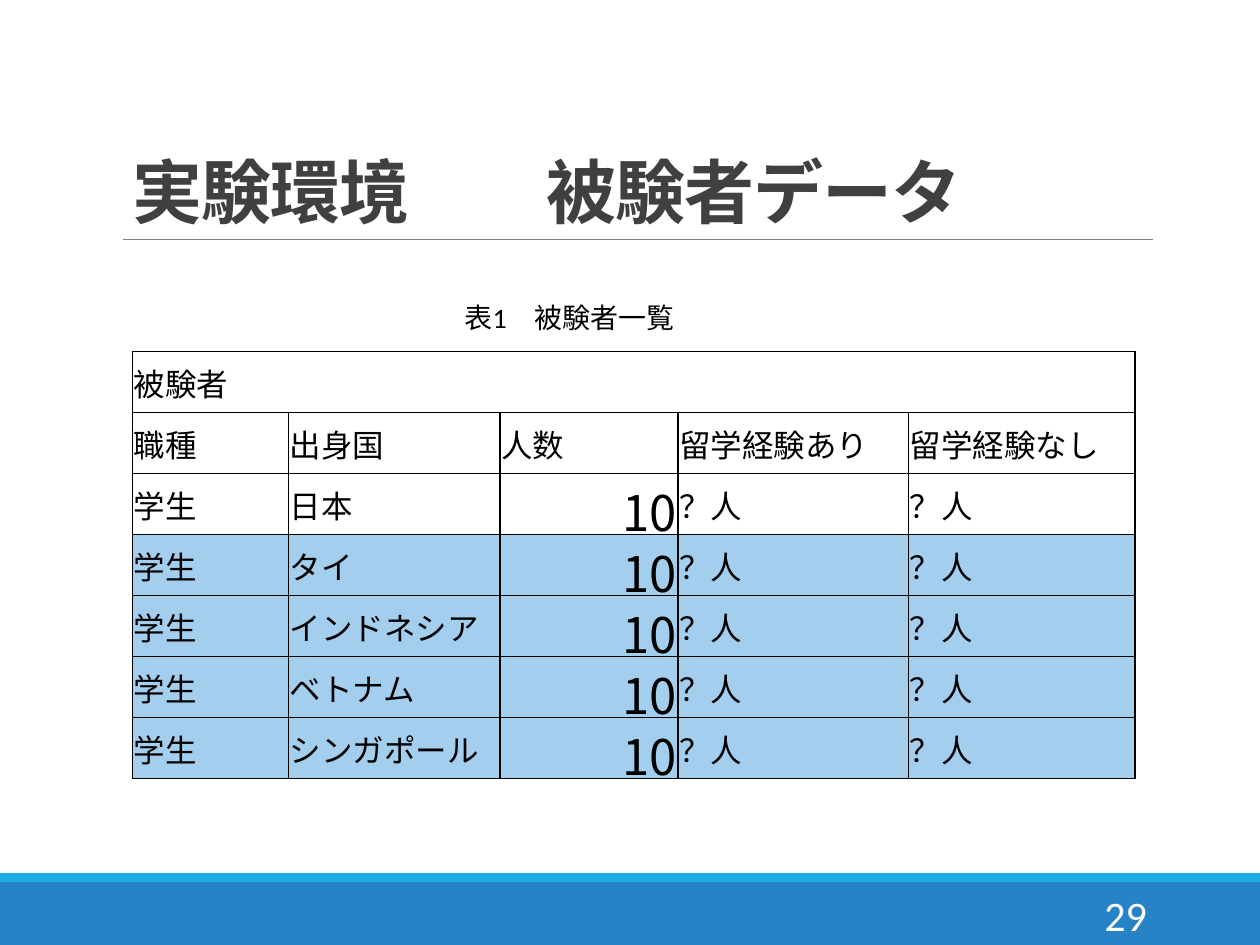
from lxml.etree import SubElement
from pptx import Presentation
from pptx.dml.color import RGBColor
from pptx.enum.shapes import MSO_CONNECTOR, MSO_SHAPE
from pptx.enum.text import MSO_ANCHOR as Anchor, MSO_AUTO_SIZE as AutoSize, PP_ALIGN as Align
from pptx.oxml.ns import qn
from pptx.util import Inches, Pt

JAPANESE_FONT = "Noto Sans CJK JP"


def color(value):
    return RGBColor.from_string(value)


def write(frame, text, size, ink="000000", font="Calibri", align=Align.LEFT):
    """Fill a text frame with one formatted paragraph and return its run."""
    frame.text = text
    para = frame.paragraphs[0]
    para.alignment = align
    span = para.runs[0]
    span.font.size = Pt(size)
    span.font.name = font
    span.font.color.rgb = color(ink)
    SubElement(span.font._element, qn("a:ea"), typeface=JAPANESE_FONT)
    return span


deck = Presentation()
deck.slide_width, deck.slide_height = Inches(10), Inches(7.5)
page = deck.slides.add_slide(deck.slide_layouts[6])

# Footer bands and title rule
for top, height, fill in ((7, 0.5, "2683C6"), (6.93, 0.07, "1CADE4")):
    band = page.shapes.add_shape(
        MSO_SHAPE.RECTANGLE, 0, Inches(top), Inches(10), Inches(height))
    band.shadow.inherit = False
    band.fill.solid()
    band.fill.fore_color.rgb = color(fill)
    band.line.fill.background()

rule = page.shapes.add_connector(
    MSO_CONNECTOR.STRAIGHT, Inches(0.98), Inches(1.9), Inches(9.15), Inches(1.9))
rule.line.color.rgb = color("808080")
rule.line.width = Pt(0.5)
SubElement(rule._element.spPr, qn("a:effectLst"))

# Title, with a tab stop between its two parts
title = page.shapes.add_textbox(Inches(0.95), Inches(0.58), Inches(8.25), Inches(1.32))
title.text_frame.word_wrap = True
title.text_frame.vertical_anchor = Anchor.BOTTOM
title_span = write(title.text_frame, "実験環境\t被験者データ", 40, "404040")
title_span.font.bold = True
title_span.font._element.set("spc", "-50")
title_para = title.text_frame.paragraphs[0]
title_para.line_spacing = 0.85
tab_list = SubElement(title_para._p.get_or_add_pPr(), qn("a:tabLst"))
SubElement(tab_list, qn("a:tab"), pos=str(Inches(3.29)), algn="l")

# Page number and table caption
number = page.shapes.add_textbox(Inches(8.12), Inches(7.06), Inches(1.08), Inches(0.4))
number.text_frame.word_wrap = True
number.text_frame.vertical_anchor = Anchor.MIDDLE
write(number.text_frame, "29", 24, "FFFFFF", align=Align.RIGHT)

caption = page.shapes.add_textbox(Inches(3.2), Inches(2.34), Inches(2.64), Inches(0.37))
caption.text_frame.word_wrap = True
caption.text_frame.auto_size = AutoSize.SHAPE_TO_FIT_TEXT
write(caption.text_frame, "表1　被験者一覧", 16, align=Align.CENTER)

# Participant table
countries = ["日本", "タイ", "インドネシア", "ベトナム", "シンガポール"]
rows = [
    ["被験者", "", "", "", ""],
    ["職種", "出身国", "人数", "留学経験あり", "留学経験なし"],
]
rows += [["学生", country, "10", "？人", "？人"] for country in countries]
column_widths = [1.24, 1.68, 1.41, 1.83, 1.8]
first_shaded_row = 3

table = page.shapes.add_table(
    len(rows), len(column_widths),
    Inches(1.05), Inches(2.79), Inches(7.94), Inches(3.39)).table
table.first_row = table.horz_banding = False
for column, width in zip(table.columns, column_widths):
    column.width = Inches(width)

for row_index, values in enumerate(rows):
    table.rows[row_index].height = Inches(3.39 / len(rows))
    for column_index, value in enumerate(values):
        cell = table.cell(row_index, column_index)
        cell.vertical_anchor = Anchor.MIDDLE
        cell.margin_left = cell.margin_right = cell.margin_top = Inches(0.01)
        cell.margin_bottom = 0
        if value:
            is_count = value.isdigit()
            write(cell.text_frame, value, 28 if is_count else 18, font=JAPANESE_FONT,
                  align=Align.RIGHT if is_count else Align.LEFT)
        properties = cell._tc.get_or_add_tcPr()
        for side in ("lnL", "lnR", "lnT", "lnB"):
            border = SubElement(properties, qn(f"a:{side}"), w=str(Pt(1)))
            border_fill = SubElement(border, qn("a:solidFill"))
            SubElement(border_fill, qn("a:srgbClr"), val="000000")
        if row_index >= first_shaded_row:
            cell.fill.solid()
            cell.fill.fore_color.rgb = color("A3CEED")
        else:
            cell.fill.background()
table.cell(0, 0).merge(table.cell(0, len(column_widths) - 1))

deck.save("out.pptx")
